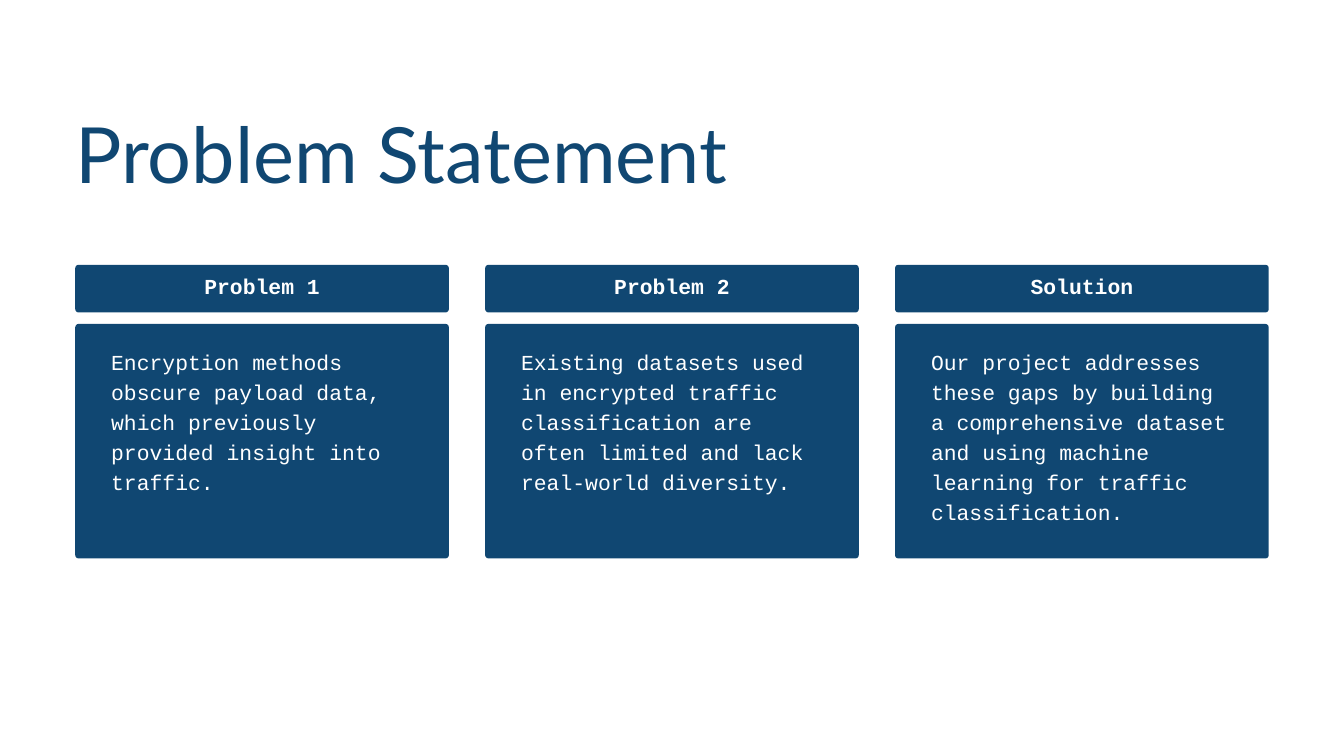
from pptx import Presentation
from pptx.dml.color import RGBColor
from pptx.enum import shapes, text
from pptx.util import Inches, Pt

COLORS = {"navy": "104772", "white": "FFFFFF"}
TITLE_FONT = {"name": "Lato", "size": Pt(83), "bold": False}
HEADER_FONT = {"name": "Courier New", "size": Pt(22.9), "bold": True}
BODY_FONT = {**HEADER_FONT, "bold": False}

CARDS = [
    ("Problem 1", "Encryption methods obscure payload data, which previously "
                  "provided insight into traffic."),
    ("Problem 2", "Existing datasets used in encrypted traffic classification "
                  "are often limited and lack real-world diversity."),
    ("Solution", "Our project addresses these gaps by building a comprehensive "
                 "dataset and using machine learning for traffic classification."),
]
CARD_WIDTH, CARD_GAP = 5.56, 0.54
HEADER_HEIGHT, BODY_HEIGHT, ROW_GAP = 0.71, 3.49, 0.17
CORNER_RADIUS = 0.05


def write_text(shape, content, font, color, align, line_spacing, margins=(0, 0, 0, 0)):
    """Fill a shape with one top-anchored paragraph; margins are left, top, right, bottom."""
    frame = shape.text_frame
    frame.text = content
    left, top, right, bottom = (Inches(margin) for margin in margins)
    settings = {
        "word_wrap": True, "auto_size": text.MSO_AUTO_SIZE.NONE,
        "vertical_anchor": text.MSO_ANCHOR.TOP,
        "margin_left": left, "margin_top": top,
        "margin_right": right, "margin_bottom": bottom,
    }
    for name, value in settings.items():
        setattr(frame, name, value)
    paragraph = frame.paragraphs[0]
    paragraph.alignment = align
    paragraph.line_spacing = Pt(line_spacing)
    run_font = paragraph.runs[0].font
    for name, value in font.items():
        setattr(run_font, name, value)
    run_font.color.rgb = RGBColor.from_string(COLORS[color])


def place_title(slide, content, left, top, width, height):
    title = slide.shapes.title
    box = {"left": left, "top": top, "width": width, "height": height}
    for name, value in box.items():
        setattr(title, name, Inches(value))
    write_text(title, content, TITLE_FONT, "navy", text.PP_ALIGN.LEFT, 73.1)


def add_panel(slide, left, top, width, height):
    """Add a navy rectangle with slightly rounded corners."""
    panel = slide.shapes.add_shape(
        shapes.MSO_SHAPE.ROUNDED_RECTANGLE,
        Inches(left), Inches(top), Inches(width), Inches(height))
    panel.adjustments[0] = CORNER_RADIUS / min(width, height)
    panel.fill.solid()
    panel.fill.fore_color.rgb = RGBColor.from_string(COLORS["navy"])
    panel.line.fill.background()
    panel.shadow.inherit = False
    return panel


def add_card(slide, heading, body, left, top, width):
    """Add a heading bar with its body panel below."""
    header_panel = add_panel(slide, left, top, width, HEADER_HEIGHT)
    write_text(header_panel, heading, HEADER_FONT, "white",
               text.PP_ALIGN.CENTER, 32.1, (0.52, 0.05, 0.52, 0))
    body_top = top + HEADER_HEIGHT + ROW_GAP
    body_panel = add_panel(slide, left, body_top, width, BODY_HEIGHT)
    write_text(body_panel, body, BODY_FONT, "white",
               text.PP_ALIGN.LEFT, 32.1, (0.52, 0.3, 0.52, 0))


def main():
    presentation = Presentation()
    presentation.slide_width = Inches(20)
    presentation.slide_height = Inches(11.25)
    slide = presentation.slides.add_slide(presentation.slide_layouts[5])
    place_title(slide, "Problem Statement", 1.12, 1.94, 11.12, 1.11)
    for index, (heading, body) in enumerate(CARDS):
        left = 1.12 + index * (CARD_WIDTH + CARD_GAP)
        add_card(slide, heading, body, left, 3.94, CARD_WIDTH)
    presentation.save("out.pptx")


if __name__ == "__main__":
    main()
